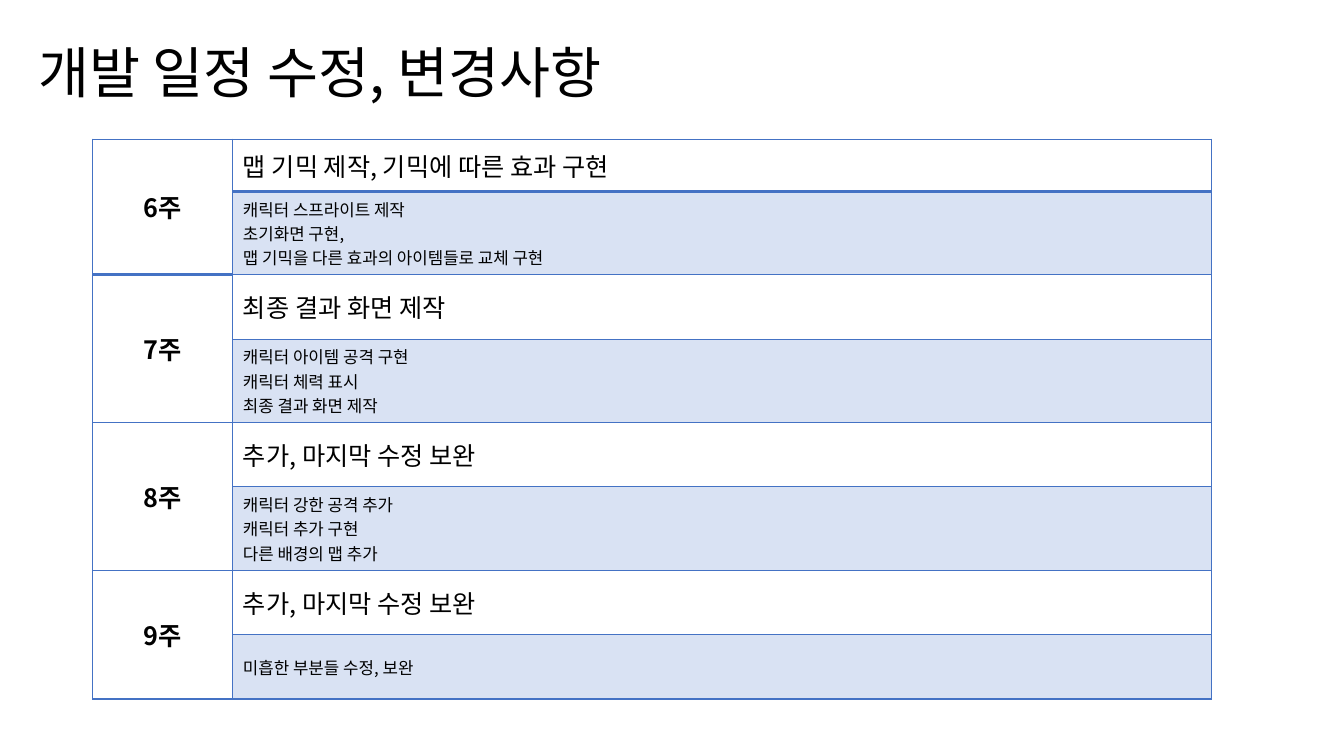
from dataclasses import dataclass

from lxml.etree import SubElement
from pptx import Presentation
from pptx.dml.color import RGBColor
from pptx.enum.text import MSO_ANCHOR, MSO_AUTO_SIZE, PP_ALIGN
from pptx.oxml import parse_xml
from pptx.oxml.ns import nsdecls, qn
from pptx.util import Inches, Pt


@dataclass(frozen=True)
class Theme:
    font: str = "Noto Sans CJK KR"
    text: str = "000000"
    accent: str = "4472C4"
    tint_percent: int = 20
    title_size: float = 39.6
    heading_size: float = 18
    detail_size: float = 12
    thin_line: float = 1
    thick_line: float = 2


@dataclass(frozen=True)
class Week:
    label: str
    goal: str
    details: tuple[str, ...]


THEME = Theme()
SLIDE_SIZE = Inches(13.33), Inches(7.5)
TITLE = "개발 일정 수정, 변경사항"
TITLE_AREA = 0.28, 0.35, 6.84, 0.8
TABLE_LEFT, TABLE_TOP = 0.92, 1.38
COLUMN_WIDTHS = 1.39, 9.71
FIRST_ROW_HEIGHTS = 0.52, 0.79
ROW_HEIGHT = 0.64

WEEKS = (
    Week("6주", "맵 기믹 제작, 기믹에 따른 효과 구현",
         ("캐릭터 스프라이트 제작", "초기화면 구현,", "맵 기믹을 다른 효과의 아이템들로 교체 구현")),
    Week("7주", "최종 결과 화면 제작",
         ("캐릭터 아이템 공격 구현", "캐릭터 체력 표시", "최종 결과 화면 제작")),
    Week("8주", "추가, 마지막 수정 보완",
         ("캐릭터 강한 공격 추가", "캐릭터 추가 구현", "다른 배경의 맵 추가")),
    Week("9주", "추가, 마지막 수정 보완", ("미흡한 부분들 수정, 보완",)),
)


def write_lines(text_frame, lines: tuple[str, ...], size: float, bold: bool = False,
                alignment: PP_ALIGN = PP_ALIGN.LEFT, line_spacing: float = 1.0) -> None:
    """Write one formatted paragraph per line."""
    font_format = {"name": THEME.font, "size": Pt(size), "bold": bold}
    paragraph_format = {"alignment": alignment, "line_spacing": line_spacing,
                        "space_before": Pt(0), "space_after": Pt(0)}
    for index, line in enumerate(lines):
        paragraph = text_frame.add_paragraph() if index else text_frame.paragraphs[0]
        for name, value in paragraph_format.items():
            setattr(paragraph, name, value)
        run = paragraph.add_run()
        run.text = line
        for name, value in font_format.items():
            setattr(run.font, name, value)
        run.font.color.rgb = RGBColor.from_string(THEME.text)
        # Korean glyphs take the East Asian typeface
        east_asian = parse_xml(f'<a:ea {nsdecls("a")} typeface="{THEME.font}"/>')
        run.font._element.find(qn("a:latin")).addnext(east_asian)


def format_cell(cell, tinted: bool, thick_bottom: bool) -> None:
    """Set the fill, the anchor and the four borders of a cell."""
    cell.vertical_anchor = MSO_ANCHOR.MIDDLE
    properties = cell._tc.get_or_add_tcPr()
    if tinted:
        cell.fill.solid()
        cell.fill.fore_color.rgb = RGBColor.from_string(THEME.accent)
        color = properties.find(".//" + qn("a:srgbClr"))
        SubElement(color, qn("a:alpha"), val=str(THEME.tint_percent * 1000))
    else:
        cell.fill.background()
    for index, side in enumerate("LRTB"):
        thick = side == "B" and thick_bottom
        width = Pt(THEME.thick_line if thick else THEME.thin_line)
        properties.insert(index, parse_xml(
            f'<a:ln{side} {nsdecls("a")} w="{width}"><a:solidFill>'
            f'<a:srgbClr val="{THEME.accent}"/></a:solidFill></a:ln{side}>'))


def add_title(slide) -> None:
    title = slide.shapes.title
    for name, value in zip(("left", "top", "width", "height"), TITLE_AREA):
        setattr(title, name, Inches(value))
    frame_format = {"word_wrap": True, "auto_size": MSO_AUTO_SIZE.NONE,
                    "vertical_anchor": MSO_ANCHOR.MIDDLE}
    for name, value in frame_format.items():
        setattr(title.text_frame, name, value)
    write_lines(title.text_frame, (TITLE,), THEME.title_size, line_spacing=0.9)


def add_schedule(slide, weeks: tuple[Week, ...]) -> None:
    """Add two rows per week: the goal above its details."""
    row_count = 2 * len(weeks)
    heights = FIRST_ROW_HEIGHTS + (ROW_HEIGHT,) * (row_count - len(FIRST_ROW_HEIGHTS))
    table = slide.shapes.add_table(
        row_count, len(COLUMN_WIDTHS), Inches(TABLE_LEFT), Inches(TABLE_TOP),
        Inches(sum(COLUMN_WIDTHS)), Inches(sum(heights))).table
    table.first_row = table.horz_banding = False
    for column, width in zip(table.columns, COLUMN_WIDTHS):
        column.width = Inches(width)
    for row, height in zip(table.rows, heights):
        row.height = Inches(height)

    for index, week in enumerate(weeks):
        top = 2 * index
        first = index == 0
        label, goal = table.cell(top, 0), table.cell(top, 1)
        covered, details = table.cell(top + 1, 0), table.cell(top + 1, 1)
        label.merge(covered)
        for cell in (label, covered, goal, details):
            format_cell(cell, tinted=cell is details,
                        thick_bottom=first and cell is not details)
        write_lines(label.text_frame, (week.label,), THEME.heading_size,
                    bold=True, alignment=PP_ALIGN.CENTER)
        write_lines(goal.text_frame, (week.goal,), THEME.heading_size)
        write_lines(details.text_frame, week.details, THEME.detail_size)


def main() -> None:
    presentation = Presentation()
    presentation.slide_width, presentation.slide_height = SLIDE_SIZE
    # Title Only layout
    slide = presentation.slides.add_slide(presentation.slide_layouts[5])
    add_title(slide)
    add_schedule(slide, WEEKS)
    presentation.save("out.pptx")


if __name__ == "__main__":
    main()
